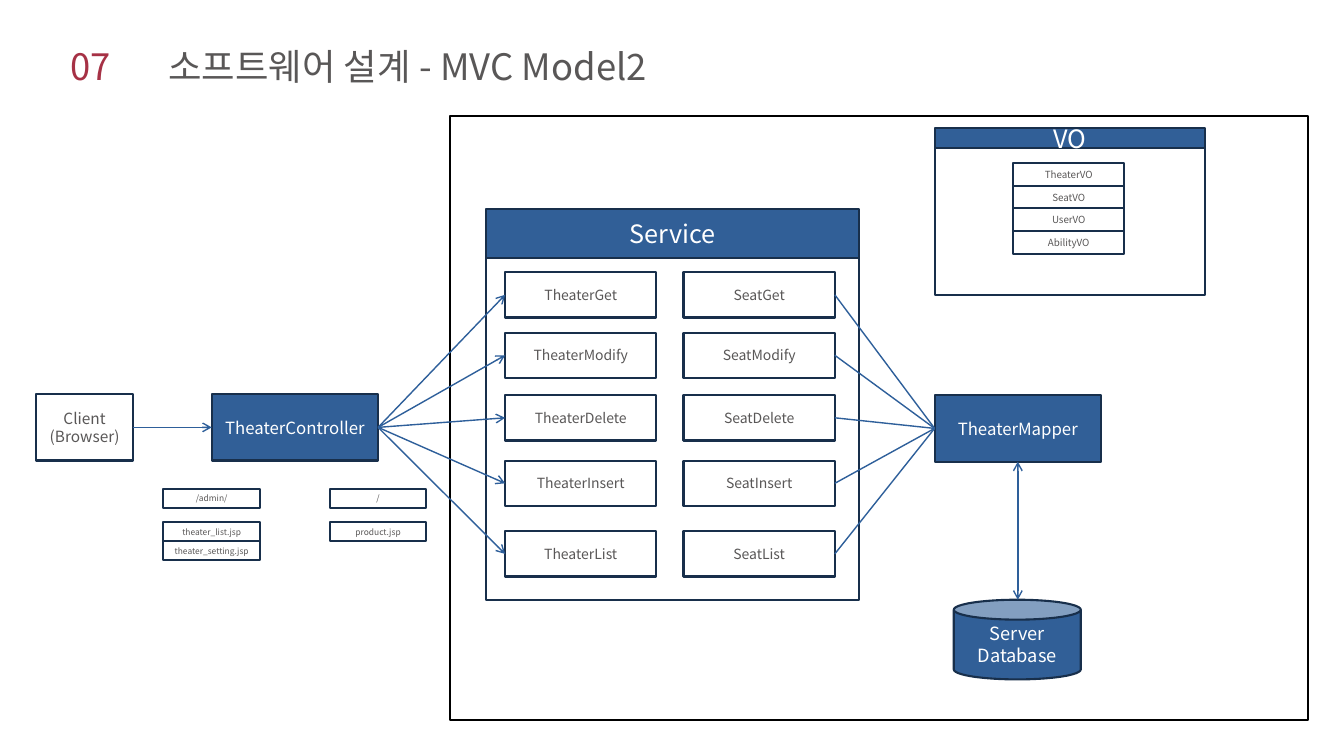
import pptx
import pptx.util
import pptx.dml.color
import pptx.enum.shapes
import pptx.enum.text
import pptx.oxml.ns
import lxml.etree

Inches = pptx.util.Inches
Shape = pptx.enum.shapes.MSO_SHAPE
Align = pptx.enum.text.PP_ALIGN

FONT = "Noto Sans CJK KR"
RED, GREY, WHITE, BLACK = "A63145", "595757", "FFFFFF", "000000"
BLUE, NAVY, ARROW_BLUE = "315F97", "182F4B", "2E5F9A"

TITLE = [("07\t", RED), ("소프트웨어 설계 - MVC Model2", GREY)]
TITLE_TAB = 0.97

FRAMES = [
    ((4.46, 1.15, 8.51, 5.99), BLACK),
    ((4.82, 2.14, 3.7, 3.81), NAVY),
    ((9.27, 1.35, 2.68, 1.58), NAVY),
]
HEADERS = [
    ("Service", (4.82, 2.07, 3.7, 0.49)),
    ("VO", (9.27, 1.27, 2.68, 0.2)),
]
CLIENT = ("Client\n(Browser)", (0.36, 3.91, 0.96, 0.66))
CONTROLLER = ("TheaterController", (2.1, 3.91, 1.65, 0.66))
MAPPER = ("TheaterMapper", (9.27, 3.92, 1.65, 0.66))
DATABASE = ("Server\nDatabase", (9.46, 5.95, 1.26, 0.79))

ACTIONS = [("Get", 2.7), ("Modify", 3.3), ("Delete", 3.92), ("Insert", 4.57), ("List", 5.27)]
THEATER_LEFT, SEAT_LEFT = 5.01, 6.78
ACTION_SIZE = (1.5, 0.45)

VALUE_OBJECTS = ["TheaterVO", "SeatVO", "UserVO", "AbilityVO"]
VO_LEFT, VO_TOP, VO_LAST_TOP = 10.05, 1.62, 2.29
VO_SIZE = (1.1, 0.23)

PAGES = {
    1.62: ("/admin/", ["theater_list.jsp", "theater_setting.jsp"]),
    3.27: ("/", ["product.jsp"]),
}
FOLDER_TOP, PAGE_TOP = 4.85, 5.18
PAGE_SIZE = (0.96, 0.19)


def color(hex_string):
    return pptx.dml.color.RGBColor.from_string(hex_string)


def write(para, text, size=10, ink=GREY):
    span = para.add_run()
    span.text = text
    span.font.size = pptx.util.Pt(size)
    span.font.color.rgb = color(ink)
    span.font.name = FONT
    east = lxml.etree.SubElement(span.font._element, pptx.oxml.ns.qn("a:ea"))
    east.set("typeface", FONT)


def add_box(page, place, text="", size=10, ink=GREY, fill=WHITE, line=NAVY, kind=Shape.RECTANGLE):
    box = page.shapes.add_shape(kind, *map(Inches, place))
    box.shadow.inherit = False
    if fill:
        box.fill.solid()
        box.fill.fore_color.rgb = color(fill)
    else:
        box.fill.background()
    box.line.color.rgb = color(line)
    box.line.width = pptx.util.Pt(1.5)
    frame = box.text_frame
    frame.margin_left = frame.margin_right = frame.margin_top = frame.margin_bottom = 0
    frame.word_wrap = True
    frame.vertical_anchor = pptx.enum.text.MSO_ANCHOR.MIDDLE
    if text:
        for index, words in enumerate(text.split("\n")):
            para = frame.add_paragraph() if index else frame.paragraphs[0]
            para.alignment = Align.CENTER
            write(para, words, size=size, ink=ink)
    return box


def add_link(page, start, side, end=None, end_side=1, point=(0, 0), arrows=()):
    link = page.shapes.add_connector(pptx.enum.shapes.MSO_CONNECTOR.STRAIGHT, 0, 0, *point)
    link.begin_connect(start, side)
    if end is not None:
        link.end_connect(end, end_side)
    link.line.color.rgb = color(ARROW_BLUE)
    link.line.width = pptx.util.Pt(1)
    outline = link.line._get_or_add_ln()
    for name in arrows:
        lxml.etree.SubElement(outline, pptx.oxml.ns.qn("a:" + name)).set("type", "arrow")
    lxml.etree.SubElement(link._element.spPr, pptx.oxml.ns.qn("a:effectLst"))


def add_title(page):
    title = page.shapes.title
    title.left, title.top, title.width, title.height = map(Inches, (0.6, 0.38, 6.93, 0.54))
    frame = title.text_frame
    frame.auto_size = pptx.enum.text.MSO_AUTO_SIZE.NONE
    frame.vertical_anchor = pptx.enum.text.MSO_ANCHOR.MIDDLE
    para = frame.paragraphs[0]
    para.alignment = Align.LEFT
    tabs = lxml.etree.SubElement(para._p.get_or_add_pPr(), pptx.oxml.ns.qn("a:tabLst"))
    stop = lxml.etree.SubElement(tabs, pptx.oxml.ns.qn("a:tab"))
    stop.set("pos", str(Inches(TITLE_TAB)))
    stop.set("algn", "l")
    for words, ink in TITLE:
        write(para, words, size=26, ink=ink)


def main():
    deck = pptx.Presentation()
    deck.slide_width, deck.slide_height = Inches(13.33), Inches(7.5)
    page = deck.slides.add_slide(deck.slide_layouts[5])
    add_title(page)

    for place, line in FRAMES:
        add_box(page, place, fill=None, line=line)
    for text, place in HEADERS:
        add_box(page, place, text, size=18, ink=WHITE, fill=BLUE)

    client = add_box(page, CLIENT[1], CLIENT[0], size=11)
    controller = add_box(page, CONTROLLER[1], CONTROLLER[0], size=12, ink=WHITE, fill=BLUE)
    mapper = add_box(page, MAPPER[1], MAPPER[0], size=12, ink=WHITE, fill=BLUE)
    database = add_box(page, DATABASE[1], DATABASE[0], size=13, ink=WHITE, fill=BLUE, kind=Shape.CAN)

    add_link(page, client, 3, controller, arrows=["tailEnd"])
    for action, top in ACTIONS:
        theater = add_box(page, (THEATER_LEFT, top, *ACTION_SIZE), "Theater" + action)
        seat = add_box(page, (SEAT_LEFT, top, *ACTION_SIZE), "Seat" + action)
        add_link(page, controller, 3, theater, arrows=["tailEnd"])
        add_link(page, seat, 3, mapper)
    database_top = (mapper.left + mapper.width // 2, database.top)
    add_link(page, mapper, 2, point=database_top, arrows=["headEnd", "tailEnd"])

    vo_step = (VO_LAST_TOP - VO_TOP) / (len(VALUE_OBJECTS) - 1)
    for row, name in enumerate(VALUE_OBJECTS):
        add_box(page, (VO_LEFT, VO_TOP + row * vo_step, *VO_SIZE), name, size=7)

    for left, (folder, files) in PAGES.items():
        add_box(page, (left, FOLDER_TOP, *PAGE_SIZE), folder, size=6)
        for row, name in enumerate(files):
            add_box(page, (left, PAGE_TOP + row * PAGE_SIZE[1], *PAGE_SIZE), name, size=6)

    deck.save("out.pptx")


if __name__ == "__main__":
    main()
